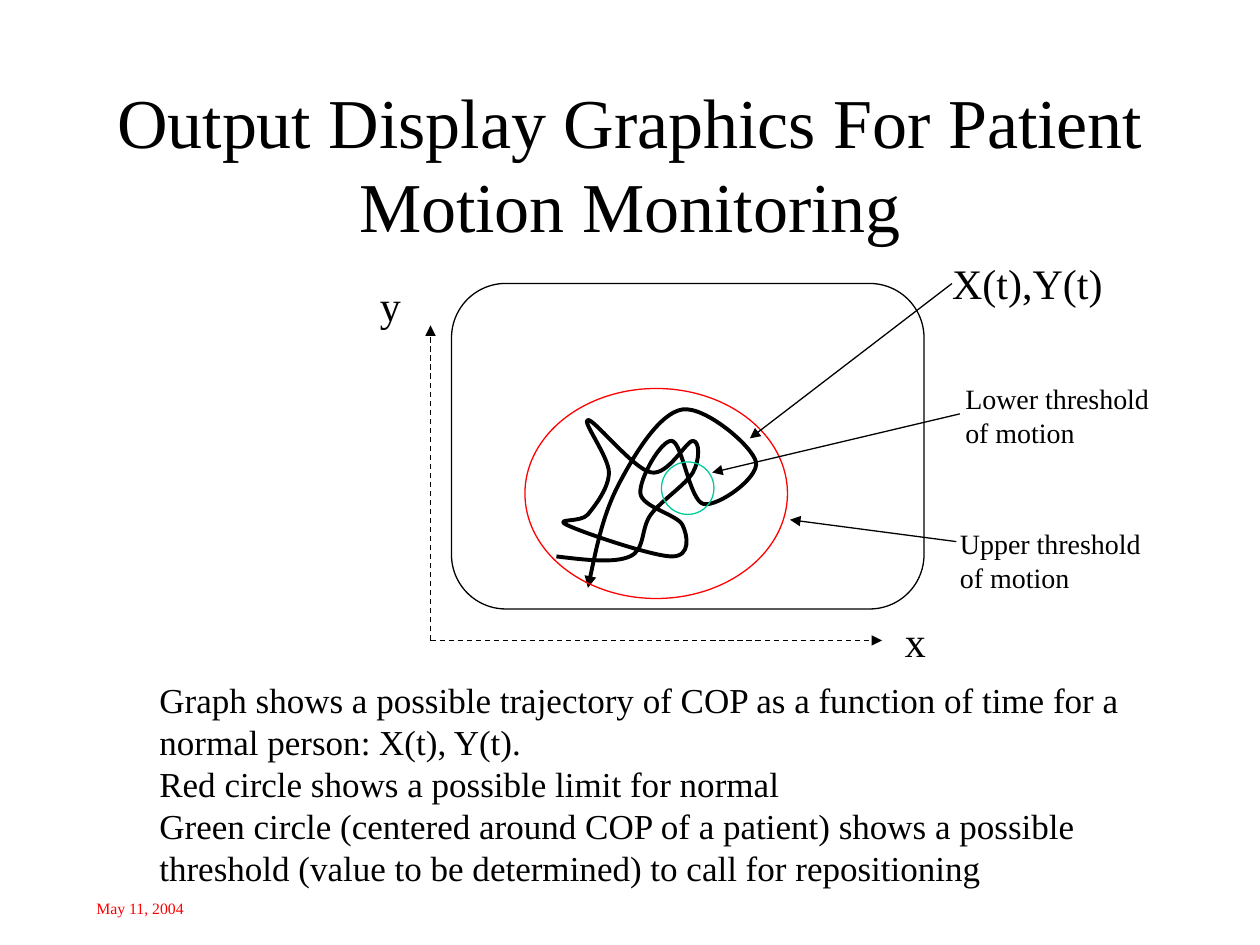
from lxml import etree
from pptx import Presentation
from pptx.dml.color import RGBColor
from pptx.enum.dml import MSO_LINE
from pptx.enum.shapes import MSO_CONNECTOR, MSO_SHAPE
from pptx.enum.text import MSO_ANCHOR, MSO_AUTO_SIZE, PP_ALIGN
from pptx.oxml.ns import qn
from pptx.util import Pt

FONT = "Times New Roman"
BLACK, RED, GREEN, WHITE = "000000", "FF0000", "00CC99", "FFFFFF"
color = RGBColor.from_string


def write(frame, paragraphs, size, ink=BLACK, align=PP_ALIGN.LEFT):
    for index, words in enumerate(paragraphs):
        paragraph = frame.paragraphs[0] if index == 0 else frame.add_paragraph()
        paragraph.alignment = align
        run = paragraph.add_run()
        run.text = words
        run.font.name = FONT
        run.font.size = Pt(size)
        run.font.color.rgb = color(ink)


def stroke(part, ink=BLACK, width=0.75, arrow=False):
    part.line.color.rgb = color(ink)
    part.line.width = Pt(width)
    if arrow:
        outline = part._element.spPr.find(qn("a:ln"))
        etree.SubElement(outline, qn("a:tailEnd"), type="triangle")


prs = Presentation()
prs.slide_width, prs.slide_height = Pt(720), Pt(540)
slide = prs.slides.add_slide(prs.slide_layouts[5])
shapes = slide.shapes

title = shapes.title
title.left, title.top, title.width, title.height = Pt(54), Pt(48), Pt(612), Pt(90)
title.text_frame.vertical_anchor = MSO_ANCHOR.MIDDLE
title.text_frame.auto_size = MSO_AUTO_SIZE.NONE
write(title.text_frame, ["Output Display Graphics For Patient Motion Monitoring"],
      40, align=PP_ALIGN.CENTER)

display = shapes.add_shape(MSO_SHAPE.ROUNDED_RECTANGLE, Pt(258), Pt(162), Pt(270), Pt(186))
display.shadow.inherit = False
display.fill.solid()
display.fill.fore_color.rgb = color(WHITE)
stroke(display)

knots = [(318, 318), (360, 318), (372, 294), (396, 270), (396, 252), (372, 270),
         (336, 240), (348, 270), (336, 294), (324, 300), (384, 318), (390, 300),
         (366, 282), (384, 252), (402, 288), (432, 264), (390, 234), (354, 276),
         (336, 336)]
builder = shapes.build_freeform(Pt(knots[0][0]), Pt(knots[0][1]))
builder.add_line_segments([(Pt(x), Pt(y)) for x, y in knots[1:]], close=False)
trajectory = builder.convert_to_shape()
trajectory.shadow.inherit = False
trajectory.fill.background()
stroke(trajectory, width=2.25, arrow=True)

points = [(int(pt.get("x")), int(pt.get("y")))
          for pt in trajectory._element.iter(qn("a:pt"))]
handles = [((after[0] - before[0]) / 6, (after[1] - before[1]) / 6)
           for before, after in zip(points, points[2:])]
segments = list(trajectory._element.iter(qn("a:lnTo")))
for i, segment in enumerate(segments):
    start, end = points[i], points[i + 1]
    if i > 0:
        leave = [p + h for p, h in zip(start, handles[i - 1])]
    if i < len(handles):
        arrive = [p - h for p, h in zip(end, handles[i])]
    else:
        arrive = [(p + q) / 2 for p, q in zip(leave, end)]
    if i == 0:
        leave = [(p + q) / 2 for p, q in zip(start, arrive)]
    curve = etree.Element(qn("a:cubicBezTo"))
    for x, y in (leave, arrive, end):
        etree.SubElement(curve, qn("a:pt"), x=str(round(x)), y=str(round(y)))
    segment.getparent().replace(segment, curve)

for left, top, width, height, ink in [(300, 222, 150, 120, RED), (378, 264, 30, 30, GREEN)]:
    threshold = shapes.add_shape(MSO_SHAPE.OVAL, Pt(left), Pt(top), Pt(width), Pt(height))
    threshold.shadow.inherit = False
    threshold.fill.background()
    stroke(threshold, ink)

for x1, y1, x2, y2, dash in [
    (246, 366, 504, 366, MSO_LINE.DASH),
    (246, 366, 246, 186, MSO_LINE.DASH),
    (544, 162, 428.5, 250.5, None),
    (548.5, 236.5, 407, 270, None),
    (546.5, 309.5, 451.5, 297, None),
]:
    arrow = shapes.add_connector(MSO_CONNECTOR.STRAIGHT, Pt(x1), Pt(y1), Pt(x2), Pt(y2))
    if dash:
        arrow.line.dash_style = dash
    stroke(arrow, arrow=True)
    etree.SubElement(arrow._element.spPr, qn("a:effectLst"))

explanation = [
    "Graph shows a possible trajectory of COP as a function of time for a normal person: X(t), Y(t).",
    "Red circle shows a possible limit for normal",
    "Green circle (centered around COP of a patient) shows a possible "
    "threshold (value to be determined) to call for repositioning",
]
for left, top, width, height, paragraphs, size, ink, wrap in [
    (510, 348, 27, 36, ["x"], 24, BLACK, False),
    (210, 156, 27, 36, ["y"], 24, BLACK, False),
    (537, 143.5, 103, 36, ["X(t),Y(t)"], 24, BLACK, False),
    (541.5, 297.5, 119, 46, ["Upper threshold", "of motion"], 16, BLACK, False),
    (544.5, 214.5, 121, 46, ["Lower threshold", "of motion"], 16, BLACK, False),
    (84, 384, 571, 127.5, explanation, 20, BLACK, True),
    (48, 510, 618, 18, ["May 11, 2004"], 9, RED, True),
]:
    label = shapes.add_textbox(Pt(left), Pt(top), Pt(width), Pt(height))
    label.text_frame.word_wrap = wrap
    write(label.text_frame, paragraphs, size, ink)

prs.save("out.pptx")
